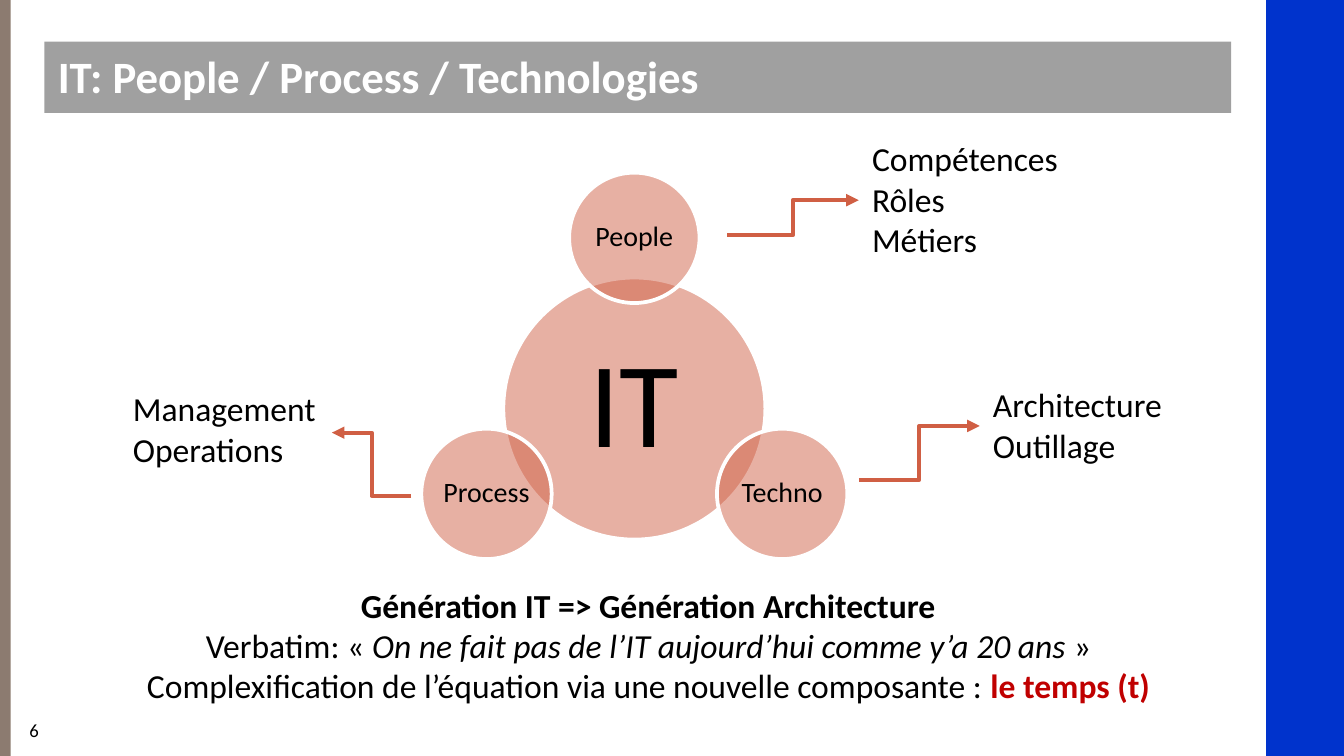
from dataclasses import dataclass
from math import cos, radians, sin

from lxml import etree
from pptx import Presentation
from pptx.dml.color import RGBColor
from pptx.enum import shapes, text
from pptx.oxml import ns
from pptx.util import Inches, Pt

SLIDE_WIDTH = Inches(10)
SLIDE_HEIGHT = SLIDE_WIDTH * 9 // 16


@dataclass(frozen=True)
class Theme:
    font: str = "Calibri"
    black: str = "000000"
    white: str = "FFFFFF"
    blue: str = "0033CC"
    taupe: str = "8C7B70"
    grey: str = "A0A0A0"
    circle: str = "D16349"
    arrow: str = "D05F44"
    accent: str = "C00000"
    title: int = 24
    body: int = 18
    satellite: int = 15
    core: int = 65
    number: int = 10


THEME = Theme()


def paint(fill, color):
    fill.solid()
    fill.fore_color.rgb = RGBColor.from_string(color)


def add_run(paragraph, words, size, color=THEME.black, bold=False, italic=False):
    """Add words in one format; a newline becomes a line break."""
    for index, part in enumerate(words.split("\n")):
        if index:
            paragraph.add_line_break()
        run = paragraph.add_run()
        run.text = part
        font = run.font
        font.name, font.size, font.bold, font.italic = THEME.font, Pt(size), bold, italic
        font.color.rgb = RGBColor.from_string(color)


def add_band(slide, left, width, color):
    band = slide.shapes.add_shape(shapes.MSO_SHAPE.RECTANGLE, Inches(left), 0,
                                  Inches(width), SLIDE_HEIGHT)
    band.shadow.inherit = False
    paint(band.fill, color)
    band.line.fill.background()


def add_title(slide, words):
    title = slide.shapes.title
    title.left, title.top = Inches(0.33), Inches(0.31)
    title.width, title.height = Inches(8.83), Inches(0.53)
    paint(title.fill, THEME.grey)
    frame = title.text_frame
    frame.auto_size = text.MSO_AUTO_SIZE.NONE
    frame.vertical_anchor = text.MSO_ANCHOR.TOP
    frame.paragraphs[0].alignment = text.PP_ALIGN.LEFT
    add_run(frame.paragraphs[0], words, THEME.title, THEME.white, bold=True)


def add_circle(slide, center_x, center_y, diameter, label, size, inset):
    """Half-transparent labelled circle placed by its centre."""
    circle = slide.shapes.add_shape(
        shapes.MSO_SHAPE.OVAL, Inches(center_x - diameter / 2),
        Inches(center_y - diameter / 2), Inches(diameter), Inches(diameter))
    circle.shadow.inherit = False
    paint(circle.fill, THEME.circle)
    color = circle.fill._xPr.find(".//" + ns.qn("a:srgbClr"))
    etree.SubElement(color, ns.qn("a:alpha"), val="50000")
    paint(circle.line.fill, THEME.white)
    circle.line.width = Pt(2)
    frame = circle.text_frame
    frame.margin_left = frame.margin_right = Inches(inset)
    frame.margin_top = frame.margin_bottom = Inches(inset)
    frame.vertical_anchor = text.MSO_ANCHOR.MIDDLE
    paragraph = frame.paragraphs[0]
    paragraph.alignment = text.PP_ALIGN.CENTER
    paragraph.line_spacing = 0.9
    add_run(paragraph, label, size)


def add_arrow(slide, start, end):
    arrow = slide.shapes.add_connector(shapes.MSO_CONNECTOR.ELBOW,
                                       *map(Inches, start + end))
    paint(arrow.line.fill, THEME.arrow)
    arrow.line.width = Pt(2.25)
    etree.SubElement(arrow.line._get_or_add_ln(), ns.qn("a:tailEnd"), type="triangle")
    etree.SubElement(arrow._element.spPr, ns.qn("a:effectLst"))


def add_text(slide, area, paragraphs, size=THEME.body, align=text.PP_ALIGN.LEFT,
             anchor=text.MSO_ANCHOR.TOP):
    """Text box; each paragraph is a list of (words, font options) runs."""
    frame = slide.shapes.add_textbox(*map(Inches, area)).text_frame
    frame.word_wrap = True
    frame.vertical_anchor = anchor
    for index, runs in enumerate(paragraphs):
        paragraph = frame.add_paragraph() if index else frame.paragraphs[0]
        paragraph.alignment = align
        for words, options in runs:
            add_run(paragraph, words, size, **options)


def add_diagram(slide):
    center_x, center_y, orbit = 4.72, 3.04, 1.27
    add_circle(slide, center_x, center_y, 1.95, "IT", THEME.core, 0.09)
    for label, angle in (("People", -90), ("Techno", 30), ("Process", 150)):
        add_circle(slide, center_x + orbit * cos(radians(angle)),
                   center_y + orbit * sin(radians(angle)),
                   0.97, label, THEME.satellite, 0.02)


def add_callouts(slide):
    callouts = (
        ((5.41, 1.75), (6.39, 1.49), (6.39, 0.98, 1.6, 1.01),
         ("Compétences\nRôles", "Métiers")),
        ((6.39, 3.57), (7.29, 3.17), (7.29, 2.81, 1.47, 0.71),
         ("Architecture", "Outillage")),
        ((3.06, 3.69), (2.47, 3.22), (0.89, 2.84, 1.58, 0.71),
         ("Management\nOperations",)),
    )
    for start, end, area, topics in callouts:
        add_arrow(slide, start, end)
        add_text(slide, area, [[(topic, {})] for topic in topics])


def add_conclusion(slide):
    add_text(slide, (0.9, 4.3, 7.85, 1.01), [
        [("Génération IT => Génération Architecture", {"bold": True})],
        [("Verbatim: « ", {}),
         ("On ne fait pas de l’IT aujourd’hui comme y’a 20 ans ", {"italic": True}),
         ("»\nComplexification de l’équation via une nouvelle composante : ", {}),
         ("le temps (t)", {"color": THEME.accent, "bold": True})],
    ], align=text.PP_ALIGN.CENTER)


def main():
    deck = Presentation()
    deck.slide_width, deck.slide_height = SLIDE_WIDTH, SLIDE_HEIGHT
    slide = deck.slides.add_slide(deck.slide_layouts.get_by_name("Title Only"))
    add_band(slide, 9.42, 0.58, THEME.blue)
    add_band(slide, 0, 0.08, THEME.taupe)
    add_title(slide, "IT: People / Process / Technologies")
    add_text(slide, (0.12, 5.31, 1.08, 0.25), [[("6", {})]], THEME.number,
             anchor=text.MSO_ANCHOR.MIDDLE)
    add_diagram(slide)
    add_callouts(slide)
    add_conclusion(slide)
    deck.save("out.pptx")


if __name__ == "__main__":
    main()
